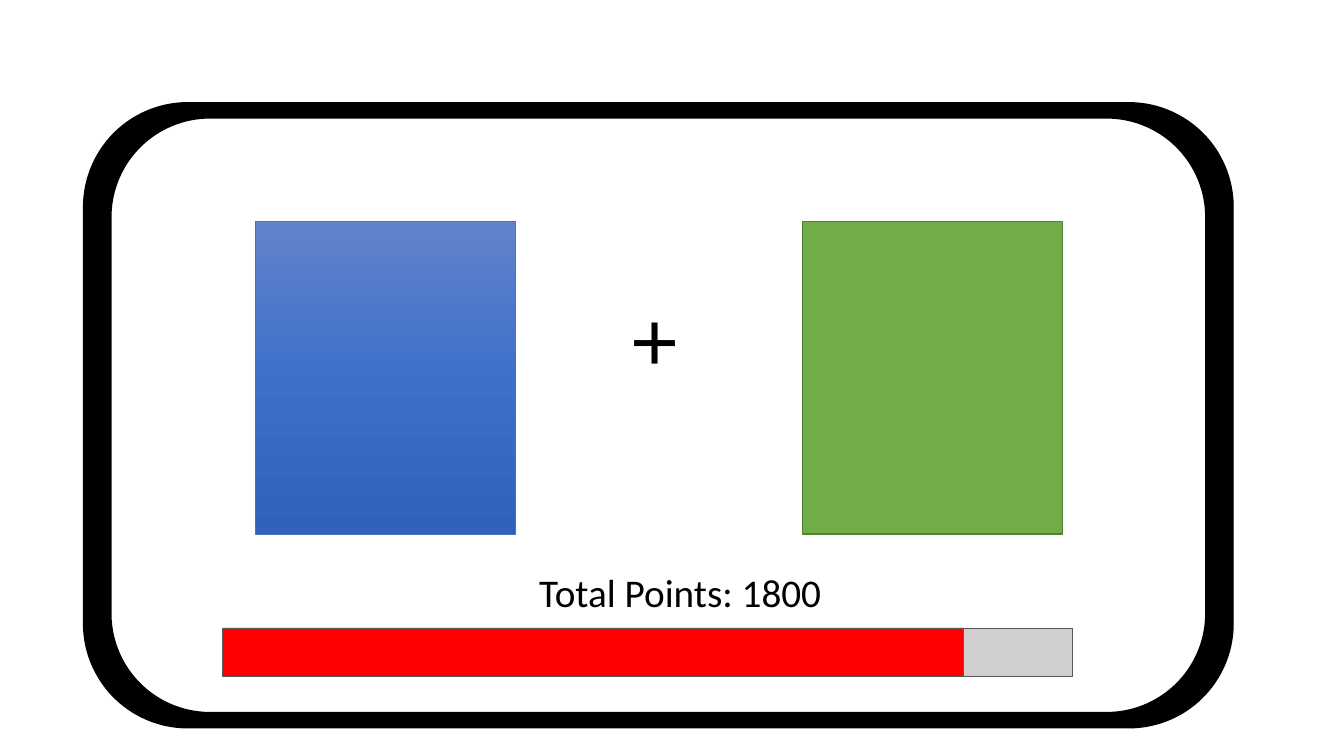
from copy import deepcopy

from pptx import Presentation
from pptx import util as u
from pptx.dml.color import RGBColor
from pptx.enum import shapes, text
from pptx.oxml.ns import qn

PX = 9144  # 100 px to the inch

BLACK = RGBColor(0x00, 0x00, 0x00)
WHITE = RGBColor(0xFF, 0xFF, 0xFF)
RED = RGBColor(0xFF, 0x00, 0x00)
TRACK_GREY = RGBColor(0xD0, 0xCE, 0xCE)
BAR_EDGE = RGBColor(0x59, 0x59, 0x59)
GREEN = RGBColor(0x70, 0xAD, 0x47)
GREEN_EDGE = RGBColor(0x53, 0x80, 0x35)
BLUE_EDGE = RGBColor(0x44, 0x72, 0xC4)
BLUES = [
    RGBColor(0x61, 0x83, 0xCB),
    RGBColor(0x3E, 0x70, 0xCA),
    RGBColor(0x30, 0x62, 0xBB),
]

RECTANGLE = shapes.MSO_SHAPE.RECTANGLE
ROUNDED = shapes.MSO_SHAPE.ROUNDED_RECTANGLE


def emu(box):
    return [u.Emu(length * PX) for length in box]


def add_block(parent, kind, box, fill, edge, weight):
    """Draw a shape with a solid fill, or a downward gradient for a list of colours."""
    shape = parent.add_shape(kind, *emu(box))
    shape.shadow.inherit = False
    shape.line.color.rgb = edge
    shape.line.width = u.Pt(weight)
    if isinstance(fill, list):
        fill_downward(shape, fill)
    else:
        shape.fill.solid()
        shape.fill.fore_color.rgb = fill


def fill_downward(shape, colours):
    """Spread three colours evenly from top to bottom."""
    shape.fill.gradient()
    shape.fill.gradient_angle = 270
    stop_list = next(shape.element.iter(qn("a:gsLst")))
    stop_list.insert(1, deepcopy(stop_list[0]))
    for index, (stop, colour) in enumerate(zip(shape.fill.gradient_stops, colours)):
        stop.position = index / (len(colours) - 1)
        stop.color.rgb = colour


def add_label(parent, box, wording, size, font_name):
    label = parent.add_textbox(*emu(box))
    frame = label.text_frame
    frame.word_wrap = True
    frame.auto_size = text.MSO_AUTO_SIZE.SHAPE_TO_FIT_TEXT
    run = frame.paragraphs[0].add_run()
    run.text = wording
    run.font.size = u.Pt(size)
    run.font.name = font_name
    run.font.color.rgb = BLACK


def add_screen(slide, left, top, width, height):
    side, edge = 27, 15
    inner = (left + side, top + edge, width - 2 * side, height - 2 * edge)
    add_block(slide.shapes, ROUNDED, (left, top, width, height), BLACK, BLACK, 1)
    add_block(slide.shapes, ROUNDED, inner, WHITE, BLACK, 1)


def add_choices(slide, left, top, width, height):
    """Place a card at each end of the box and the fixation cross between them."""
    card = 258
    right = left + width - card
    add_block(slide.shapes, RECTANGLE, (left, top, card, height), BLUES, BLUE_EDGE, 0.5)
    add_block(slide.shapes, RECTANGLE, (right, top, card, height), GREEN, GREEN_EDGE, 1)
    add_label(slide.shapes, (left + 363, top + 60, 74, 111), "+", 60, "Arial")


def add_score(slide, left, top, width, height):
    """Place the points label above a bar that is partly filled."""
    bar, filled = 48, 735
    bar_top = top + height - bar
    meter = slide.shapes.add_group_shape().shapes
    add_block(meter, RECTANGLE, (left, bar_top, width, bar), TRACK_GREY, BAR_EDGE, 0.5)
    add_label(meter, (left + 304, top, 306, 57), "Total Points: 1800", 28, "Calibri")
    add_block(slide.shapes, RECTANGLE, (left, bar_top, filled, bar), RED, BAR_EDGE, 0.5)


def main():
    presentation = Presentation()
    presentation.slide_width, presentation.slide_height = emu((1333, 750))
    slide = presentation.slides.add_slide(presentation.slide_layouts[6])
    add_screen(slide, 83, 102, 1140, 620)
    add_choices(slide, 253, 220, 801, 310)
    add_score(slide, 221, 559, 843, 112)
    presentation.save("out.pptx")


if __name__ == "__main__":
    main()
